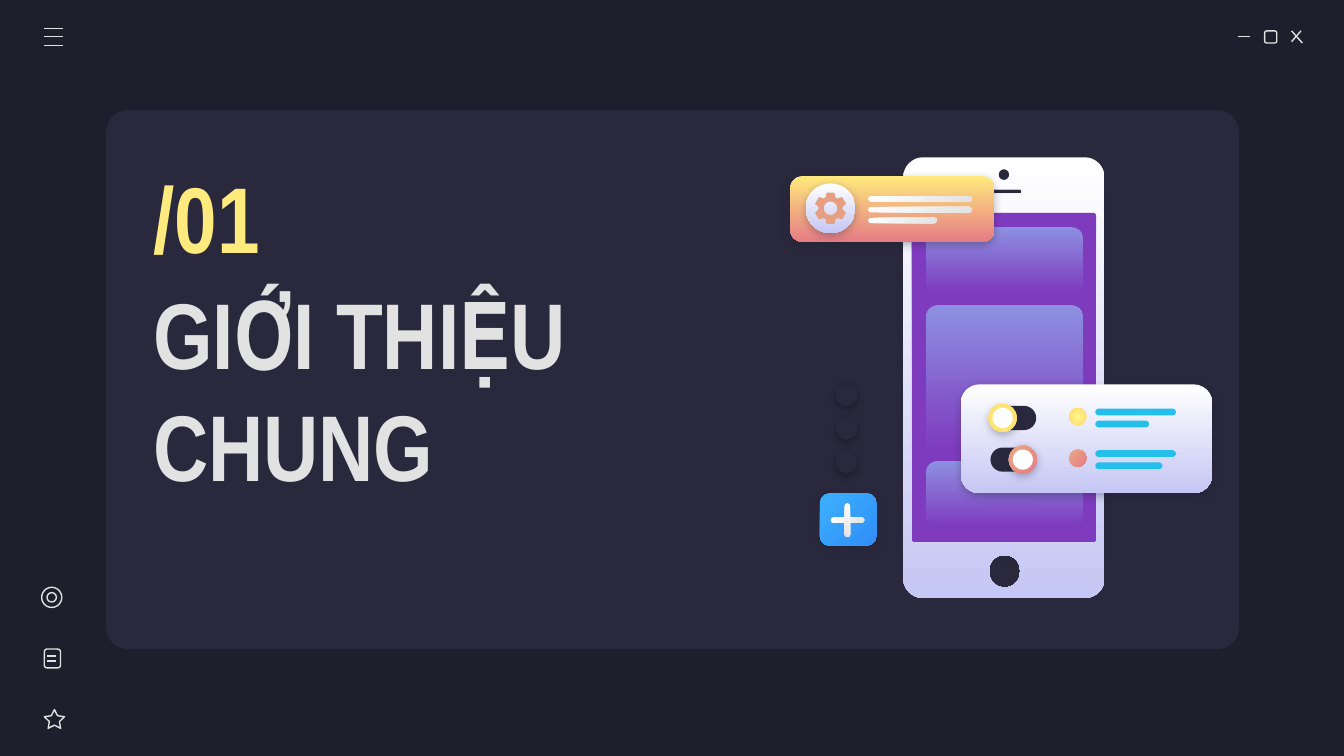
from math import cos, pi, radians, sin

from lxml.etree import SubElement
from pptx import Presentation
from pptx.dml.color import RGBColor
from pptx.enum.shapes import MSO_CONNECTOR, MSO_SHAPE
from pptx.enum.text import MSO_ANCHOR, MSO_AUTO_SIZE, PP_ALIGN
from pptx.oxml.ns import qn
from pptx.util import Inches, Pt

COLORS = {
    "night": "1E1E2C", "panel": "29283D", "light": "E2E2E2", "yellow": "FFEA7D",
    "purple": "7E3BBE", "periwinkle": "8D90E1", "white": "FFFFFF", "lilac": "C5C7F4",
    "pink": "E57C85", "orange": "E9A984", "gear": "E5A083", "lemon": "FFF68E",
    "gold": "FFD966", "cyan": "24BFEB", "sky": "3DB0FD", "blue": "308EF7", "black": "000000",
}
# Gradients: first colour, last colour, clockwise angle (None for a circular one)
FADE = ("periwinkle", "purple", 90)
PEARL = ("white", "lilac", 90)
SILVER = ("white", "light", 45)
SUN = ("lemon", "gold", None)
CORAL = ("orange", "pink", 45)

ROUND, OVAL, STAR = MSO_SHAPE.ROUNDED_RECTANGLE, MSO_SHAPE.OVAL, MSO_SHAPE.STAR_5_POINT


def rgb(name):
    return RGBColor.from_string(COLORS[name])


def paint(shape, fill=None, outline=None, shadow=None):
    """Set fill (colour name or gradient), outline colour and shadow colour."""
    if fill is None:
        shape.fill.background()
    elif isinstance(fill, str):
        shape.fill.solid()
        shape.fill.fore_color.rgb = rgb(fill)
    else:
        paint_gradient(shape, *fill)
    if outline:
        shape.line.color.rgb = rgb(outline)
        shape.line.width = Pt(0.75)
    else:
        shape.line.fill.background()
    shape.shadow.inherit = False
    if shadow:
        effects = shape._element.spPr.find(qn("a:effectLst"))
        outer = SubElement(effects, qn("a:outerShdw"), blurRad=str(Pt(4.5)), dist=str(Pt(1.5)),
                           dir="5400000", algn="bl", rotWithShape="0")
        color = SubElement(outer, qn("a:srgbClr"), val=COLORS[shadow])
        SubElement(color, qn("a:alpha"), val="30000")


def paint_gradient(shape, first, last, angle):
    shape.fill.gradient()
    for stop, name in zip(shape.fill.gradient_stops, (first, last)):
        stop.color.rgb = rgb(name)
    if angle is not None:
        shape.fill.gradient_angle = 360 - angle
        return
    gradient = shape._element.spPr.find(qn("a:gradFill"))
    gradient.remove(gradient.find(qn("a:lin")))
    circle = SubElement(gradient, qn("a:path"), path="circle")
    SubElement(circle, qn("a:fillToRect"), l="50000", t="50000", r="50000", b="50000")


def add_box(shapes, kind, left, top, width, height, adjust=None, **style):
    box = shapes.add_shape(kind, Inches(left), Inches(top), Inches(width), Inches(height))
    if adjust is not None:
        box.adjustments[0] = adjust
    paint(box, **style)
    return box


def add_bar(shapes, left, top, width, height, fill):
    return add_box(shapes, ROUND, left, top, width, height, 0.5, fill=fill)


def add_dot(shapes, x, y, size, **style):
    """Add a circle centred on x, y."""
    return add_box(shapes, OVAL, x - size / 2, y - size / 2, size, size, **style)


def add_line(shapes, x1, y1, x2, y2):
    line = shapes.add_connector(MSO_CONNECTOR.STRAIGHT, *map(Inches, (x1, y1, x2, y2)))
    line.line.color.rgb = rgb("light")
    line.line.width = Pt(0.75)
    SubElement(line._element.spPr, qn("a:effectLst"))


def rounded_contour(left, top, width, height, radius):
    """Points round a rectangle whose corners are arcs."""
    corners = [(left + width - radius, top + height - radius), (left + radius, top + height - radius),
               (left + radius, top + radius), (left + width - radius, top + radius)]
    return [(x + radius * cos(turn), y + radius * sin(turn))
            for corner, (x, y) in enumerate(corners)
            for turn in (pi / 2 * (corner + step / 8) for step in range(9))]


def add_cutout(shapes, contours, fill):
    """Add an outline; every contour after the first is a hole."""
    points = [[(Inches(x), Inches(y)) for x, y in contour] for contour in contours]
    builder = shapes.build_freeform(*points[0][0])
    builder.add_line_segments(points[0][1:])
    for hole in points[1:]:
        builder.move_to(*hole[0])
        builder.add_line_segments(hole[1:])
    paint(builder.convert_to_shape(), fill)


def add_gear(shapes, x, y):
    tooth = [(-24, 0.09), (-14, 0.12), (14, 0.12), (24, 0.09)]
    rim = [(x + reach * cos(radians(center + turn)), y + reach * sin(radians(center + turn)))
           for center in range(30, 390, 60) for turn, reach in tooth]
    add_cutout(shapes, [rim, rounded_contour(x - 0.05, y - 0.05, 0.1, 0.1, 0.05)], "gear")


def place_heading(box, text, color, left, top, width, height):
    box.left, box.top, box.width, box.height = map(Inches, (left, top, width, height))
    frame = box.text_frame
    frame.text = text
    frame.word_wrap = True
    frame.auto_size = MSO_AUTO_SIZE.NONE
    frame.vertical_anchor = MSO_ANCHOR.MIDDLE
    frame.margin_left = frame.margin_right = frame.margin_top = frame.margin_bottom = Inches(0.1)
    para = frame.paragraphs[0]
    para.alignment = PP_ALIGN.LEFT
    para.space_before = Pt(0)
    font = para.runs[0].font
    font.name, font.size, font.bold = "Arial Narrow", Pt(50), True
    font.color.rgb = rgb(color)


def add_window_icons(page):
    controls = page.shapes.add_group_shape().shapes
    add_line(controls, 9.21, 0.27, 9.3, 0.27)
    add_box(controls, ROUND, 9.41, 0.23, 0.09, 0.09, outline="light")
    add_line(controls, 9.61, 0.23, 9.69, 0.32)
    add_line(controls, 9.68, 0.23, 9.61, 0.31)

    menu = page.shapes.add_group_shape().shapes
    for y in (0.21, 0.27, 0.34):
        add_line(menu, 0.33, y, 0.47, y)

    sidebar = page.shapes.add_group_shape().shapes
    add_box(sidebar, STAR, 0.33, 5.28, 0.15, 0.14, 0.25, outline="light")
    add_box(sidebar, ROUND, 0.33, 4.83, 0.12, 0.14, outline="light")
    for y in (4.88, 4.92):
        add_line(sidebar, 0.35, y, 0.42, y)
    for size in (0.15, 0.07):
        add_dot(sidebar, 0.385, 4.445, size, outline="light")


def add_phone(shapes):
    add_box(shapes, ROUND, 6.74, 1.47, 1.46, 2.63, 0, fill="purple", shadow="night")
    for top, height in ((1.69, 0.49), (2.27, 1.09), (3.43, 0.49)):
        add_box(shapes, ROUND, 6.89, top, 1.17, height, 0.09 / height, fill=FADE)
    body = rounded_contour(6.72, 1.17, 1.5, 3.28, 0.15)
    camera = rounded_contour(7.43, 1.26, 0.08, 0.08, 0.04)
    speaker = rounded_contour(7.35, 1.41, 0.25, 0.03, 0.01)
    screen = rounded_contour(6.78, 1.58, 1.38, 2.46, 0.03)
    home = rounded_contour(7.36, 4.13, 0.23, 0.24, 0.11)
    add_cutout(shapes, [body, camera, speaker, screen, home], PEARL)


def add_settings_card(shapes):
    add_box(shapes, ROUND, 5.88, 1.31, 1.52, 0.49, 0.19, fill=("yellow", "pink", 90), shadow="night")
    add_dot(shapes, 6.18, 1.55, 0.37, fill=PEARL, shadow="night")
    add_gear(shapes, 6.18, 1.55)
    for row, width in enumerate((0.77, 0.77, 0.51)):
        add_bar(shapes, 6.46, 1.46 + 0.08 * row, width, 0.04, SILVER)


def add_toggle_card(shapes):
    add_box(shapes, ROUND, 7.15, 2.86, 1.87, 0.81, 0.17, fill=PEARL, shadow="night")
    for y, knob_x, fill, short in ((3.11, 7.46, SUN, 0.4), (3.42, 7.61, CORAL, 0.5)):
        add_bar(shapes, 7.37, y - 0.09, 0.34, 0.18, "panel")
        add_dot(shapes, knob_x, y, 0.21, fill=fill, shadow="night")
        add_dot(shapes, knob_x, y, 0.15, fill="white")
        add_dot(shapes, 8.02, y - 0.01, 0.13, fill=fill)
        add_bar(shapes, 8.15, y - 0.07, 0.6, 0.05, "cyan")
        add_bar(shapes, 8.15, y + 0.02, short, 0.05, "cyan")


def add_plus_button(shapes):
    add_box(shapes, ROUND, 6.1, 3.67, 0.42, 0.39, 0.18, fill=("sky", "blue", 45), shadow="night")
    for angle in (0, 90):
        add_bar(shapes, 6.18, 3.85, 0.25, 0.04, SILVER).rotation = angle
    for row in range(3):
        dot = add_dot(shapes, 6.3, 3.44 - 0.25 * row, 0.16, fill="panel", shadow="black")
        dot.rotation = 90


def main():
    deck = Presentation()
    deck.slide_width = Inches(10)
    deck.slide_height = deck.slide_width * 9 // 16
    page = deck.slides.add_slide(deck.slide_layouts[0])
    page.background.fill.solid()
    page.background.fill.fore_color.rgb = rgb("night")

    panel = add_box(page.shapes, ROUND, 0.79, 0.82, 8.43, 4.01, 0.04, fill="panel")
    page.shapes._spTree.insert(2, panel._element)  # behind the headings
    add_window_icons(page)
    place_heading(page.shapes.title, "GIỚI THIỆU CHUNG", "light", 1.04, 2.07, 4.3, 1.64)
    place_heading(page.placeholders[1], "/01", "yellow", 1.04, 1.15, 1.78, 0.92)

    artwork = page.shapes.add_group_shape().shapes
    add_phone(artwork)
    add_settings_card(artwork)
    add_toggle_card(artwork)
    add_plus_button(artwork)
    deck.save("out.pptx")


if __name__ == "__main__":
    main()
